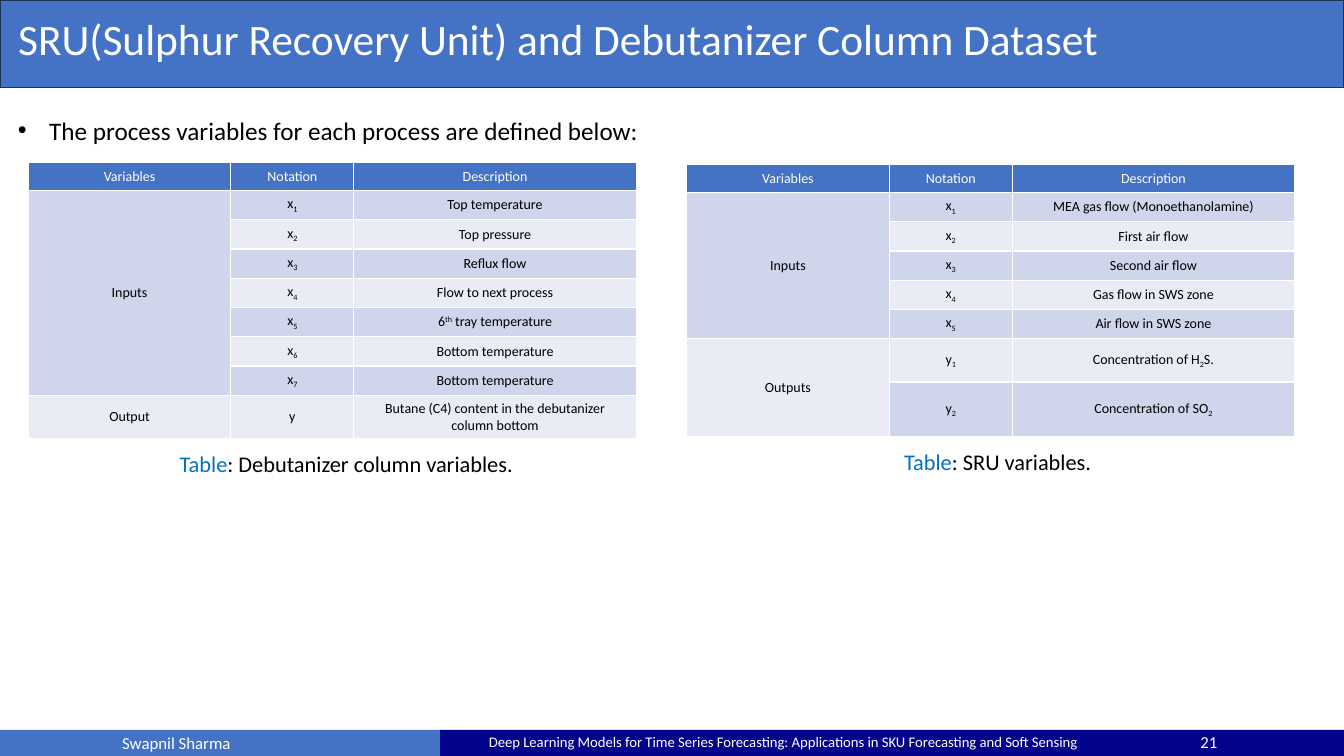
from lxml import etree
from pptx import Presentation
from pptx import util as u
from pptx.dml.color import RGBColor
from pptx.enum import shapes, text
from pptx.oxml.ns import qn

BLUE = RGBColor(0x44, 0x72, 0xC4)
OUTLINE = RGBColor(0x1E, 0x32, 0x56)
NAVY = RGBColor(0x03, 0x03, 0x8B)
CAPTION_BLUE = RGBColor(0x00, 0x70, 0xC0)
BAND_DARK = RGBColor(0xCF, 0xD5, 0xEA)
BAND_LIGHT = RGBColor(0xE9, 0xEB, 0xF5)
WHITE = RGBColor(0xFF, 0xFF, 0xFF)
BLACK = RGBColor(0x00, 0x00, 0x00)

SLIDE_W, SLIDE_H = 13.33, 7.5
TITLE_BAR_H = 0.87
FOOTER_H = 0.26
FOOTER_SPLIT = 4.36
COLUMNS = (2.01, 1.22, 2.8)
ROW_H = 0.28
CAPTION_W, CAPTION_H = 5.53, 0.37


def sub(letters):
    return letters, {"baseline": -25}


def sup(letters):
    return letters, {"baseline": 30}


def numbered(symbol, descriptions):
    """Pair each description with the symbol and its subscript number."""
    return [([symbol, sub(str(n))], runs) for n, runs in enumerate(descriptions, 1)]


TITLE = "SRU(Sulphur Recovery Unit) and Debutanizer Column Dataset"
INTRO = "The process variables for each process are defined below:"
AUTHOR = "Swapnil Sharma"
TALK = ("Deep Learning Models for Time Series Forecasting: "
        "Applications in SKU Forecasting and Soft Sensing")
PAGE = "21"
HEADINGS = ("Variables", "Notation", "Description")

VARIABLE_TABLES = [
    {
        "at": (0.28, 1.61),
        "caption": ": Debutanizer column variables.",
        "caption_at": (0.67, 4.42),
        "last_rows": [0.43],
        "groups": [
            ("Inputs", numbered("x", [
                ["Top temperature"],
                ["Top pressure"],
                ["Reflux flow"],
                ["Flow to next process"],
                ["6", sup("th"), " tray temperature"],
                ["Bottom temperature"],
                ["Bottom temperature"],
            ])),
            ("Output", [
                (["y"], ["Butane (C4) content in the debutanizer column bottom"]),
            ]),
        ],
    },
    {
        "at": (6.81, 1.63),
        "caption": ": SRU variables.",
        "caption_at": (7.13, 4.4),
        "last_rows": [0.43, 0.54],
        "groups": [
            ("Inputs", numbered("x", [
                ["MEA gas flow (Monoethanolamine)"],
                ["First air flow"],
                ["Second air flow"],
                ["Gas flow in SWS zone"],
                ["Air flow in SWS zone"],
            ])),
            ("Outputs", numbered("y", [
                ["Concentration of H", sub("2"), "S."],
                ["Concentration of SO", sub("2")],
            ])),
        ],
    },
]


def write(frame, runs, size, color=BLACK, align=text.PP_ALIGN.CENTER,
          spacing=None, bullet_indent=None):
    """Fill a text frame; a run is a string or a (string, format) pair."""
    frame.word_wrap = True
    paragraph = frame.paragraphs[0]
    paragraph.alignment = align
    if spacing:
        paragraph.line_spacing = spacing
    if bullet_indent:
        properties = paragraph._p.get_or_add_pPr()
        properties.set("marL", str(u.Inches(bullet_indent)))
        properties.set("indent", str(-u.Inches(bullet_indent)))
        etree.SubElement(properties, qn("a:buFont")).set("typeface", "Arial")
        etree.SubElement(properties, qn("a:buChar")).set("char", "•")
    for piece in runs:
        words, look = (piece, {}) if isinstance(piece, str) else piece
        run = paragraph.add_run()
        run.text = words
        run.font.name = "Calibri"
        run.font.size = u.Pt(size)
        run.font.bold = False
        run.font.color.rgb = look.get("color", color)
        if "baseline" in look:
            run._r.get_or_add_rPr().set("baseline", str(look["baseline"] * 1000))


def add_text(slide, box, runs, size, **look):
    frame = slide.shapes.add_textbox(*map(u.Inches, box)).text_frame
    write(frame, runs, size, **look)


def add_bar(slide, box, fill, outline=None):
    bar = slide.shapes.add_shape(shapes.MSO_SHAPE.RECTANGLE, *map(u.Inches, box))
    bar.shadow.inherit = False
    bar.fill.solid()
    bar.fill.fore_color.rgb = fill
    if outline:
        bar.line.color.rgb = outline
        bar.line.width = u.Pt(1)
    else:
        bar.line.fill.background()


def fill_cell(cell, runs, fill, color=BLACK):
    cell.fill.solid()
    cell.fill.fore_color.rgb = fill
    cell.vertical_anchor = text.MSO_ANCHOR.MIDDLE
    write(cell.text_frame, runs, 10, color=color)


def add_variable_table(slide, content):
    count = 1 + sum(len(rows) for _, rows in content["groups"])
    last_rows = content["last_rows"]
    heights = [ROW_H] * (count - len(last_rows)) + last_rows
    box = (*content["at"], sum(COLUMNS), sum(heights))
    table = slide.shapes.add_table(count, len(COLUMNS), *map(u.Inches, box)).table
    for column, width in zip(table.columns, COLUMNS):
        column.width = u.Inches(width)
    for row, height in zip(table.rows, heights):
        row.height = u.Inches(height)
    for c, heading in enumerate(HEADINGS):
        fill_cell(table.cell(0, c), [heading], BLUE, WHITE)

    r = 1
    for group, rows in content["groups"]:
        first = table.cell(r, 0)
        if len(rows) > 1:
            first.merge(table.cell(r + len(rows) - 1, 0))
        fill_cell(first, [group], BAND_DARK if r % 2 else BAND_LIGHT)
        for notation, description in rows:
            band = BAND_DARK if r % 2 else BAND_LIGHT
            fill_cell(table.cell(r, 1), notation, band)
            fill_cell(table.cell(r, 2), description, band)
            r += 1


def add_title(slide):
    title = slide.shapes.title
    title.left, title.top, title.width, title.height = map(
        u.Inches, (0.08, 0.07, 12.49, 0.62))
    title.text_frame.auto_size = text.MSO_AUTO_SIZE.NONE
    title.text_frame.vertical_anchor = text.MSO_ANCHOR.TOP
    write(title.text_frame, [TITLE], 31, color=WHITE, align=text.PP_ALIGN.LEFT)
    slide.shapes._spTree.append(title._element)  # in front of its bar


def main():
    deck = Presentation()
    deck.slide_width, deck.slide_height = u.Inches(SLIDE_W), u.Inches(SLIDE_H)
    slide = deck.slides.add_slide(deck.slide_layouts[5])

    add_bar(slide, (0, 0, SLIDE_W, TITLE_BAR_H), BLUE, OUTLINE)
    add_title(slide)
    add_text(slide, (0.08, 0.94, SLIDE_W - 0.08, 1.77), [INTRO], 18,
             align=text.PP_ALIGN.LEFT, spacing=1.5, bullet_indent=0.31)

    for content in VARIABLE_TABLES:
        add_variable_table(slide, content)
    for content in VARIABLE_TABLES:
        add_text(slide, (*content["caption_at"], CAPTION_W, CAPTION_H),
                 [("Table", {"color": CAPTION_BLUE}), content["caption"]], 16)

    footer_top = SLIDE_H - FOOTER_H
    add_bar(slide, (0, footer_top, FOOTER_SPLIT, FOOTER_H), BLUE)
    add_bar(slide, (FOOTER_SPLIT, footer_top, SLIDE_W - FOOTER_SPLIT, FOOTER_H), NAVY)
    add_text(slide, (0.2, 7.22, 3.1, 0.3), [AUTHOR], 12, color=WHITE)
    add_text(slide, (10.44, 7.21, 3.1, 0.3), [PAGE], 12, color=WHITE)
    add_text(slide, (FOOTER_SPLIT, 7.22, 6.82, 0.28), [TALK], 10.5, color=WHITE)

    deck.save("out.pptx")


if __name__ == "__main__":
    main()
